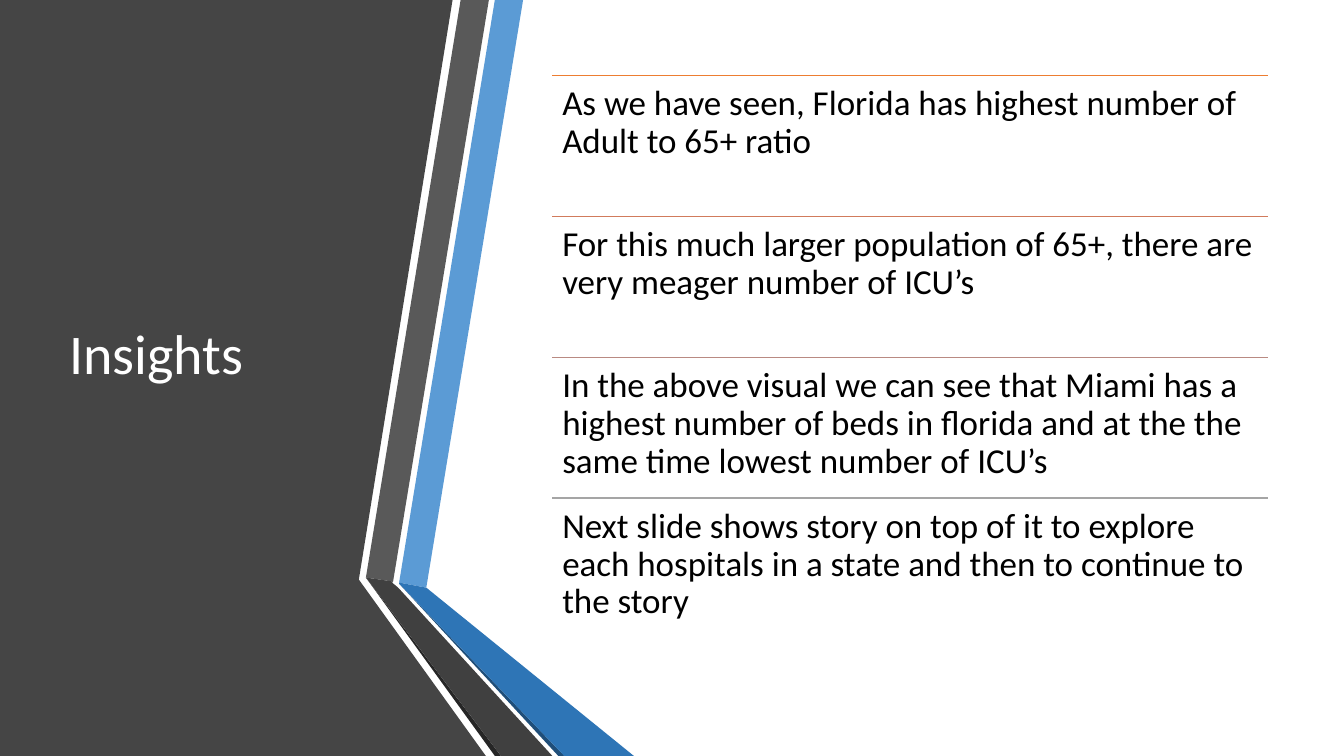
from dataclasses import dataclass

from lxml import etree
from pptx import Presentation
from pptx.dml.color import RGBColor
from pptx.enum.shapes import MSO_CONNECTOR
from pptx.enum.text import MSO_ANCHOR
from pptx.oxml.ns import qn
from pptx.util import Emu, Inches, Pt

STRAIGHT = MSO_CONNECTOR.STRAIGHT
TOP, MIDDLE = MSO_ANCHOR.TOP, MSO_ANCHOR.MIDDLE

CELL = Inches(0.01)
COLS, ROWS = 1333.33, 750
LIST_LEFT, LIST_TOP, LIST_WIDTH, ROW_HEIGHT = 548, 75, 710, 139.7

COLORS = {
    "panel": "454545", "blue": "5B9BD5", "gray": "595959",
    "gray_edge": "262626", "blue_edge": "1F4E79",
    "blue_fold": "2E75B6", "gray_fold": "404040",
    "white": "FFFFFF", "black": "000000",
    "rule1": "ED7D31", "rule2": "D17B5C", "rule3": "B98A82", "rule4": "A5A5A5",
}


@dataclass(frozen=True)
class Band:
    color: str
    points: tuple[tuple[int, int], ...]


@dataclass(frozen=True)
class Insight:
    color: str
    text: str


@dataclass(frozen=True)
class TextBox:
    text: str
    left: float
    top: float
    width: float
    height: float
    size: int
    color: str
    anchor: MSO_ANCHOR
    inset: int


BANDS = (
    Band("panel", ((0, 0), (449, 0), (356, 575), (482, ROWS), (0, ROWS))),
    Band("blue", ((396, 578), (423, 583), (519, 0), (491, 0))),
    Band("gray", ((485, 0), (457, 0), (363, 573), (390, 577))),
    Band("gray_edge", ((363, 573), (491, ROWS), (497, ROWS))),
    Band("blue_edge", ((396, 579), (554, ROWS), (560, ROWS))),
    Band("blue_fold", ((396, 579), (560, ROWS), (629, ROWS), (423, 583), (396, 578))),
    Band("gray_fold", ((548, ROWS), (395, 583), (389, 578), (390, 577),
                       (363, 573), (497, ROWS))),
)

INSIGHTS = (
    Insight("rule1", "As we have seen, Florida has highest number of Adult to 65+ ratio"),
    Insight("rule2", "For this much larger population of 65+, there are very meager "
                     "number of ICU’s"),
    Insight("rule3", "In the above visual we can see that Miami has a highest number of "
                     "beds in florida and at the the same time lowest number of ICU’s"),
    Insight("rule4", "Next slide shows story on top of it to explore each hospitals in a "
                     "state and then to continue to the story"),
)


def grid(cells: float) -> Emu:
    return Emu(round(cells * CELL))


def rgb(name: str) -> RGBColor:
    return RGBColor.from_string(COLORS[name])


def set_format(target: object, values: dict) -> None:
    for name, value in values.items():
        setattr(target, name, value)


def draw_band(s, band: Band) -> None:
    start, *rest = band.points
    builder = s.shapes.build_freeform(*start, scale=float(CELL))
    builder.add_line_segments(rest, close=True)
    sp = builder.convert_to_shape()
    sp.shadow.inherit = False
    sp.fill.solid()
    sp.fill.fore_color.rgb = rgb(band.color)
    sp.line.fill.background()


def draw_text(s, box: TextBox) -> None:
    sp = s.shapes.add_textbox(*map(grid, (box.left, box.top, box.width, box.height)))
    tf = sp.text_frame
    set_format(tf, {
        "word_wrap": True, "vertical_anchor": box.anchor,
        "margin_left": grid(10), "margin_right": grid(10),
        "margin_top": grid(box.inset), "margin_bottom": grid(box.inset),
    })
    p = tf.paragraphs[0]
    p.line_spacing = 0.9
    r = p.add_run()
    r.text = box.text
    set_format(r.font, {"name": "Calibri", "size": Pt(box.size)})
    r.font.color.rgb = rgb(box.color)


def draw_rule(s, top: float, color: str) -> None:
    ln = s.shapes.add_connector(STRAIGHT, grid(LIST_LEFT), grid(top),
                                grid(LIST_LEFT + LIST_WIDTH), grid(top))
    ln.line.color.rgb = rgb(color)
    ln.line.width = Pt(1)
    etree.SubElement(ln._element.spPr, qn("a:effectLst"))


def main() -> None:
    prs = Presentation()
    set_format(prs, {"slide_width": grid(COLS), "slide_height": grid(ROWS)})
    s = prs.slides.add_slide(prs.slide_layouts[6])
    for band in BANDS:
        draw_band(s, band)
    draw_text(s, TextBox("Insights", 59, 75, 304, 558, 40, "white", MIDDLE, 5))
    for i, insight in enumerate(INSIGHTS):
        top = LIST_TOP + i * ROW_HEIGHT
        draw_rule(s, top, insight.color)
        draw_text(s, TextBox(insight.text, LIST_LEFT, top, LIST_WIDTH, ROW_HEIGHT,
                             25, "black", TOP, 10))
    prs.save("out.pptx")


if __name__ == "__main__":
    main()
